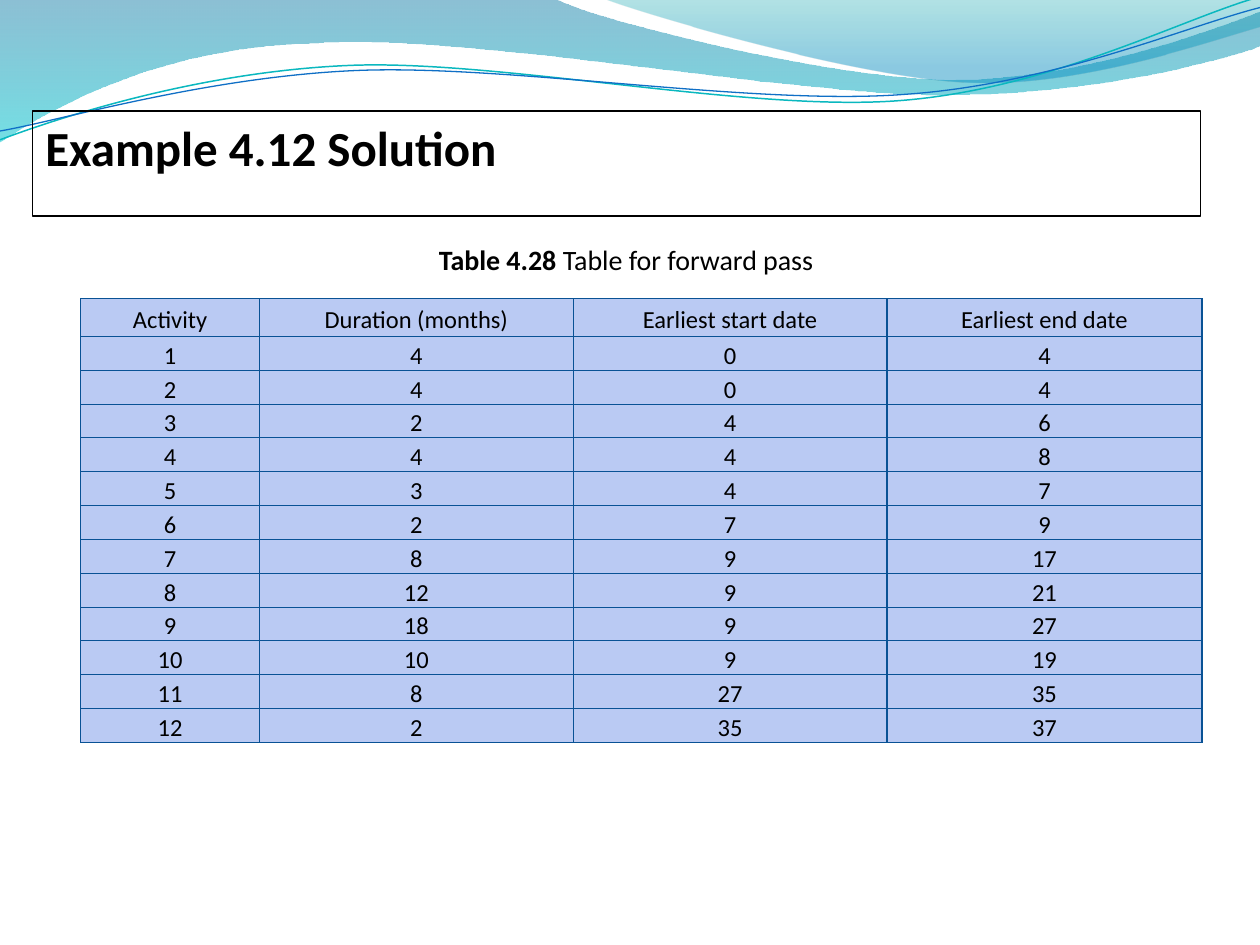
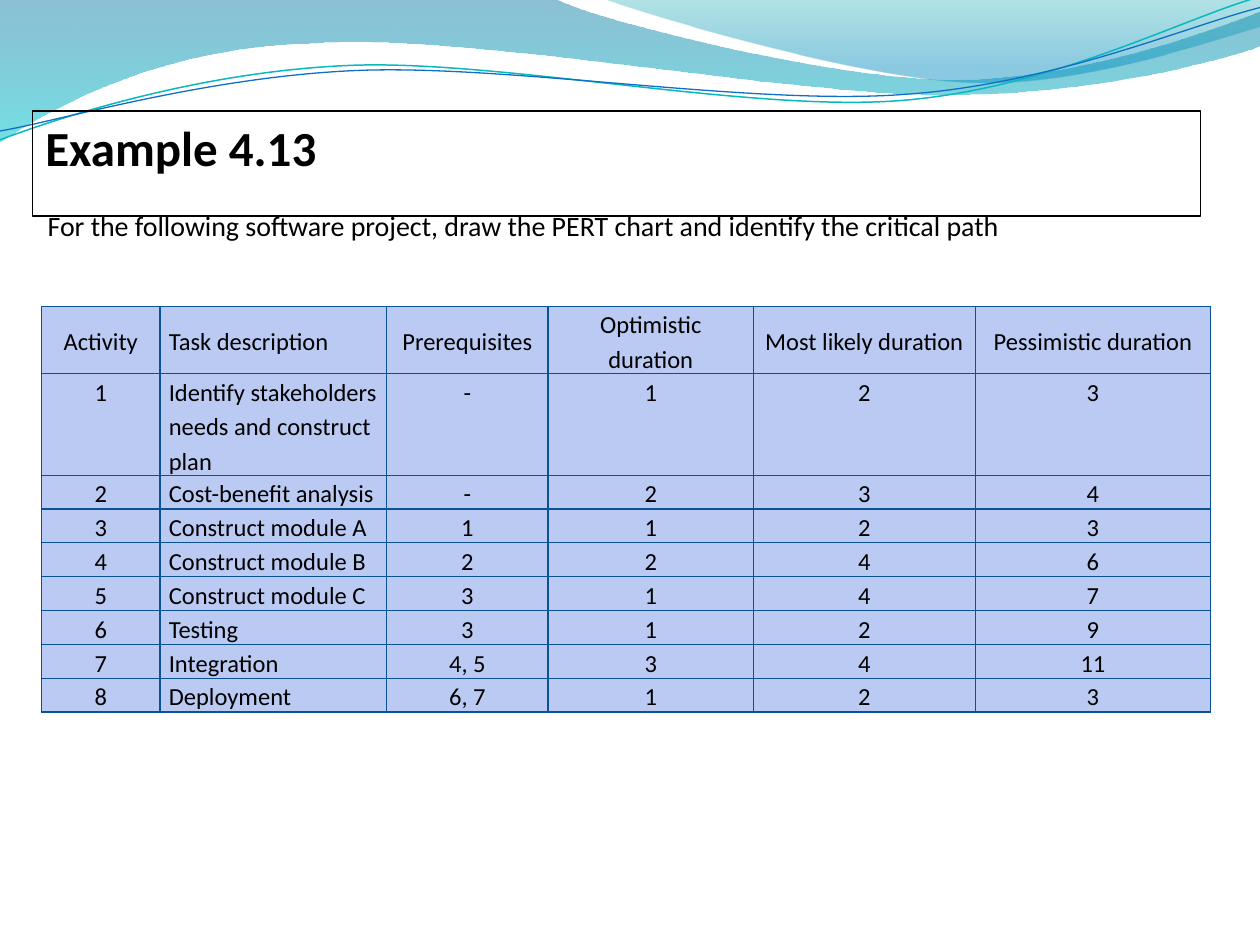
from pptx import Presentation
from pptx.dml.color import RGBColor
from pptx.enum.text import MSO_ANCHOR, MSO_AUTO_SIZE, PP_ALIGN
from pptx.oxml import parse_xml
from pptx.oxml.ns import nsdecls, qn
from pptx.util import Inches, Pt

# Shared look
FONT = "Calibri"
BLACK = RGBColor(0x00, 0x00, 0x00)
CELL_FILL = RGBColor(0xBA, 0xCA, 0xF3)
CELL_BORDER = RGBColor(0x09, 0x52, 0x95)
TEAL_LINE = RGBColor(0x0A, 0xB8, 0xBF)
BLUE_LINE = RGBColor(0x0F, 0x6F, 0xC6)

# Waves: a start point, then lines (one point) and Bezier curves (three points).
# Gradient stops: position, colour, opacity in percent
WAVE_BANDS = [
    ((0, 0),
     [[(4.4, -0.01)],
      [(4.76, 0.17), (6.64, 0.63), (7.58, 0.63)],
      [(8.53, 0.63), (9.58, 0.26), (10, 0.09)],
      [(10.01, 0.36)],
      [(9.83, 0.44), (8.7, 0.76), (7.46, 0.75)],
      [(6.22, 0.75), (3.82, 0.28), (2.57, 0.34)],
      [(1.29, 0.36), (0.46, 0.83), (-0.01, 1.13)],
      [(0, 0)]],
     [(0, RGBColor(0x00, 0x74, 0xA1), 45), (1, RGBColor(0x00, 0xC6, 0xCF), 55)]),
    ((4.79, -0.01),
     [[(5.09, 0.11), (6.82, 0.62), (7.69, 0.65)],
      [(8.56, 0.69), (9.61, 0.32), (10, 0.21)],
      [(10, 0)],
      [(4.79, -0.01)]],
     [(0, RGBColor(0x00, 0xA1, 0xA9), 30), (0.8, RGBColor(0x00, 0x8B, 0xBF), 45)]),
]
WAVE_LINES = [
    ((0, 1.11),
     [[(0.48, 0.93), (1.58, 0.57), (2.77, 0.52)],
      [(3.95, 0.47), (5.93, 0.89), (7.13, 0.8)],
      [(8.33, 0.71), (9.38, 0.15), (9.98, -0.02)]],
     TEAL_LINE, 0.85),
    ((0, 1.04),
     [[(0.47, 0.96), (1.64, 0.61), (2.83, 0.56)],
      [(4.03, 0.51), (5.97, 0.84), (7.17, 0.75)],
      [(8.36, 0.67), (9.41, 0.21), (10, 0.06)]],
     BLUE_LINE, 0.75),
]

FORWARD_PASS = [
    ["Activity", "Duration (months)", "Earliest start date", "Earliest end date"],
    [1, 4, 0, 4],
    [2, 4, 0, 4],
    [3, 2, 4, 6],
    [4, 4, 4, 8],
    [5, 3, 4, 7],
    [6, 2, 7, 9],
    [7, 8, 9, 17],
    [8, 12, 9, 21],
    [9, 18, 9, 27],
    [10, 10, 9, 19],
    [11, 8, 27, 35],
    [12, 2, 35, 37],
]
PERT_TASKS = [
    ["Activity", "Task description", "Prerequisites", "Optimistic duration",
     "Most likely duration", "Pessimistic duration"],
    [1, "Identify stakeholders needs and construct plan", "-", 1, 2, 3],
    [2, "Cost-benefit analysis", "-", 2, 3, 4],
    [3, "Construct module A", 1, 1, 2, 3],
    [4, "Construct module B", 2, 2, 4, 6],
    [5, "Construct module C", 3, 1, 4, 7],
    [6, "Testing", 3, 1, 2, 9],
    [7, "Integration", "4, 5", 3, 4, 11],
    [8, "Deployment", "6, 7", 1, 2, 3],
]


def add_outline(s, start, segments, close):
    """Build the outline through the end points, then bend its curved parts."""
    builder = s.shapes.build_freeform(Inches(start[0]), Inches(start[1]))
    ends = [(Inches(x), Inches(y)) for x, y in (seg[-1] for seg in segments)]
    builder.add_line_segments(ends, close=close)
    sp = builder.convert_to_shape()
    sp.shadow.inherit = False
    for line, segment in zip(list(sp.element.iter(qn("a:lnTo"))), segments):
        if len(segment) == 3:
            points = "".join(
                f'<a:pt x="{Inches(x) - sp.left}" y="{Inches(y) - sp.top}"/>'
                for x, y in segment)
            curve = f'<a:cubicBezTo {nsdecls("a")}>{points}</a:cubicBezTo>'
            line.getparent().replace(line, parse_xml(curve))
    return sp


def add_band(s, start, segments, stops):
    sp = add_outline(s, start, segments, True)
    sp.line.fill.background()
    sp.fill.gradient()
    sp.fill.gradient_angle = 270
    for stop, (position, color, _) in zip(sp.fill.gradient_stops, stops):
        stop.position = position
        stop.color.rgb = color
    for clr, (_, _, opacity) in zip(sp.element.iter(qn("a:srgbClr")), stops):
        clr.append(parse_xml(f'<a:alpha {nsdecls("a")} val="{opacity * 1000}"/>'))
    return sp


def add_wave_line(s, start, segments, color, width):
    sp = add_outline(s, start, segments, False)
    sp.fill.background()
    sp.line.color.rgb = color
    sp.line.width = Pt(width)
    return sp


def put_waves_on_layout(s):
    """Draw the waves, then move them to the layout that all slides share."""
    waves = [add_band(s, *band) for band in WAVE_BANDS]
    waves += [add_wave_line(s, *line) for line in WAVE_LINES]
    tree = s.slide_layout.shapes.element
    for number, sp in enumerate(waves, 100):
        sp.element.xpath("p:nvSpPr/p:cNvPr")[0].set("id", str(number))
        tree.append(sp.element)


def add_run(p, text, size, bold=False):
    r = p.add_run()
    r.text = text
    r.font.name = FONT
    r.font.size = Pt(size)
    r.font.bold = bold
    r.font.color.rgb = BLACK


def fill_text(tf, runs, size, align, anchor):
    tf.word_wrap = True
    tf.auto_size = MSO_AUTO_SIZE.SHAPE_TO_FIT_TEXT
    tf.vertical_anchor = anchor
    p = tf.paragraphs[0]
    p.alignment = align
    for text, bold in runs:
        add_run(p, text, size, bold)


def set_title(s, text):
    sp = s.shapes.title
    sp.left, sp.top, sp.width, sp.height = map(Inches, (0.26, 0.88, 9.27, 0.57))
    sp.line.color.rgb = BLACK
    sp.line.width = Pt(0.75)
    fill_text(sp.text_frame, [(text, True)], 28, PP_ALIGN.LEFT, MSO_ANCHOR.TOP)


def add_text(s, box, runs, align, anchor):
    sp = s.shapes.add_textbox(*map(Inches, box))
    fill_text(sp.text_frame, runs, 16, align, anchor)


def format_cell(cell, text, align, anchor):
    cell.margin_left = cell.margin_right = Inches(0.07)
    cell.margin_top = cell.margin_bottom = 0
    cell.vertical_anchor = anchor
    cell.fill.solid()
    cell.fill.fore_color.rgb = CELL_FILL
    p = cell.text_frame.paragraphs[0]
    p.alignment = align
    p.line_spacing = 1.15
    add_run(p, str(text), 14)
    # Borders come before the fill in the cell properties
    tc_pr = cell._tc.get_or_add_tcPr()
    for i, side in enumerate("LRTB"):
        tc_pr.insert(i, parse_xml(
            f'<a:ln{side} {nsdecls("a")} w="{Pt(0.75)}"><a:solidFill>'
            f'<a:srgbClr val="{CELL_BORDER}"/></a:solidFill></a:ln{side}>'))


def add_grid(s, box, widths, heights, rows, body_anchor, left_column=None):
    frame = s.shapes.add_table(len(rows), len(widths), *map(Inches, box))
    table = frame.table
    table.first_row = table.horz_banding = False
    for column, width in zip(table.columns, widths):
        column.width = Inches(width)
    for row, height in zip(table.rows, heights):
        row.height = Inches(height)
    frame.height = Inches(box[3])
    for i, values in enumerate(rows):
        anchor = body_anchor if i else MSO_ANCHOR.MIDDLE
        for j, value in enumerate(values):
            align = PP_ALIGN.LEFT if j == left_column else PP_ALIGN.CENTER
            format_cell(table.cell(i, j), value, align, anchor)


def add_title_slide(prs, title):
    s = prs.slides.add_slide(prs.slide_layouts[5])
    set_title(s, title)
    return s


def main():
    prs = Presentation()
    prs.slide_width, prs.slide_height = Inches(10), Inches(7.5)

    # Forward pass
    s = add_title_slide(prs, "Example 4.12 Solution")
    put_waves_on_layout(s)
    add_grid(s, (0.64, 2.37, 8.9, 3.52), [1.42, 2.49, 2.49, 2.5],
             [0.3] + [0.21] * 12, FORWARD_PASS, MSO_ANCHOR.MIDDLE)
    add_text(s, (2.55, 1.88, 4.84, 0.37),
             [("Table 4.28 ", True), ("Table for forward pass", False)],
             PP_ALIGN.CENTER, MSO_ANCHOR.TOP)

    # PERT exercise
    s = add_title_slide(prs, "Example 4.13")
    add_text(s, (0.28, 1.6, 9.27, 0.37),
             [("For the following software project, draw the PERT chart "
               "and identify the critical path", False)],
             PP_ALIGN.LEFT, MSO_ANCHOR.MIDDLE)
    add_grid(s, (0.33, 2.43, 9.28, 4.29), [0.94, 1.8, 1.28, 1.63, 1.76, 1.87],
             [0.37, 0.51] + [0.26] * 7, PERT_TASKS, MSO_ANCHOR.TOP, left_column=1)

    prs.save("out.pptx")


if __name__ == "__main__":
    main()
